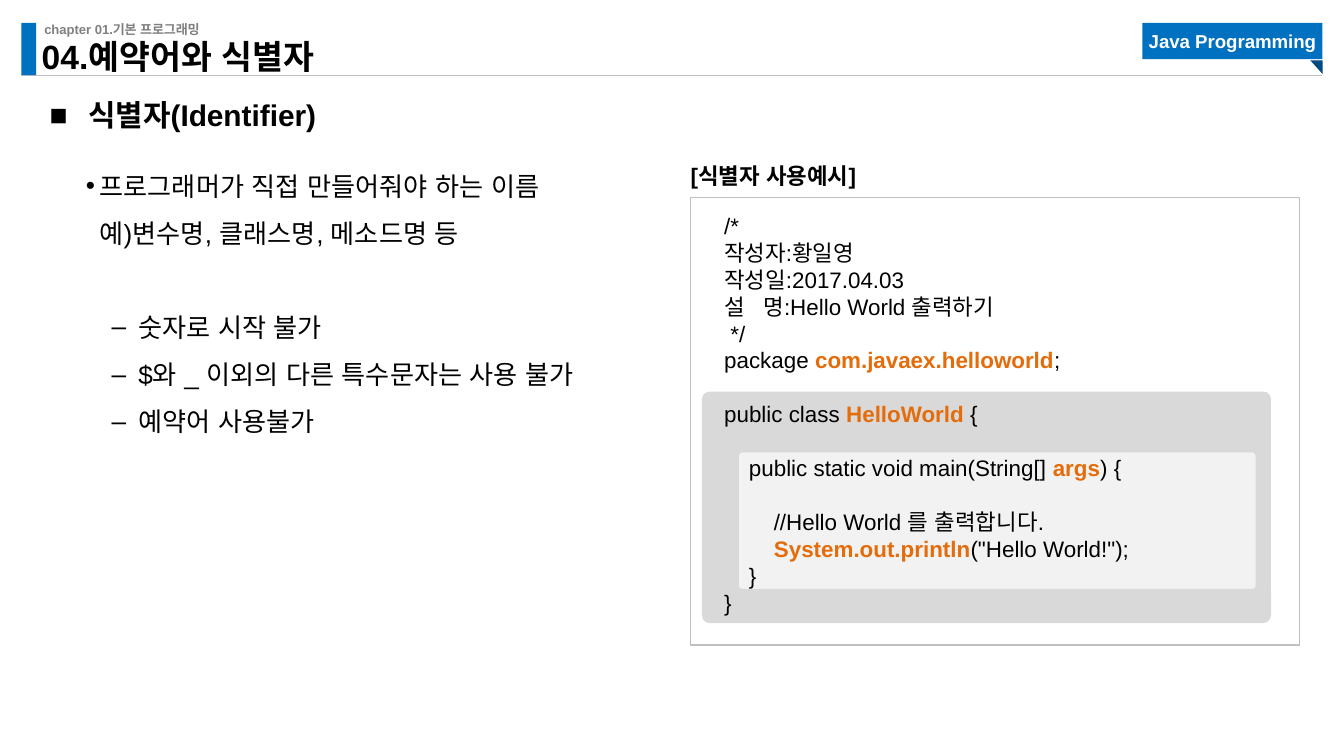
from lxml import etree
from pptx import Presentation
from pptx.dml.color import RGBColor
from pptx.enum.shapes import MSO_CONNECTOR, MSO_SHAPE
from pptx.enum.text import MSO_ANCHOR, MSO_AUTO_SIZE, PP_ALIGN
from pptx.oxml.ns import qn
from pptx.util import Inches, Pt

FONT = "Arial"
BLACK = RGBColor(0x00, 0x00, 0x00)
WHITE = RGBColor(0xFF, 0xFF, 0xFF)
BLUE = RGBColor(0x00, 0x70, 0xC0)
NAVY = RGBColor(0x00, 0x4A, 0x82)
ORANGE = RGBColor(0xE4, 0x6C, 0x0A)
GRAY = RGBColor(0x80, 0x80, 0x80)
RULE = RGBColor(0xBF, 0xBF, 0xBF)
CLASS_FILL = RGBColor(0xD9, 0xD9, 0xD9)
METHOD_FILL = RGBColor(0xF2, 0xF2, 0xF2)

CHAPTER = "chapter 01.기본 프로그래밍"
TITLE = "04.예약어와 식별자"
COURSE = "Java Programming"
HEADING = "식별자(Identifier)"
EXAMPLE_LABEL = "[식별자 사용예시]"

# text, bullet, left margin, hanging indent, space before
POINTS = [
    ("프로그래머가 직접 만들어줘야 하는 이름", "•", 0.4, 0.1, 0),
    ("예)변수명, 클래스명, 메소드명 등", None, 0.4, 0, 0),
    ("숫자로 시작 불가", "–", 0.69, 0.2, 25.2),
    ("$와 _ 이외의 다른 특수문자는 사용 불가", "–", 0.69, 0.2, 0),
    ("예약어 사용불가", "–", 0.69, 0.2, 0),
]

# Each line is split into plain, identifier, plain; an empty tuple is a gap
CODE = [
    ("/*",),
    ("작성자:황일영",),
    ("작성일:2017.04.03",),
    ("설   명:Hello World 출력하기",),
    (" */",),
    ("package ", "com.javaex.helloworld", ";"),
    (),
    ("public class ", "HelloWorld", " {"),
    (),
    ("    public static void main(String[] ", "args", ") {"),
    (),
    ("        //Hello World 를 출력합니다.",),
    ("        ", "System.out.println", '("Hello World!");'),
    ("    }",),
    ("}",),
]
CODE_PITCH = 14.5


def add_block(page, kind, place, fill=None, line=None, width=1):
    block = page.shapes.add_shape(kind, *map(Inches, place))
    block.shadow.inherit = False
    if fill is None:
        block.fill.background()
    else:
        block.fill.solid()
        block.fill.fore_color.rgb = fill
    if line is None:
        block.line.fill.background()
    else:
        block.line.color.rgb = line
        block.line.width = Pt(width)
    return block


def add_box(page, place, insets=(0, 0, 0, 0)):
    box = page.shapes.add_textbox(*map(Inches, place))
    return set_frame(box, insets)


def set_frame(box, insets=(0, 0, 0, 0), anchor=MSO_ANCHOR.TOP):
    frame = box.text_frame
    frame.word_wrap = True
    frame.auto_size = MSO_AUTO_SIZE.NONE
    frame.vertical_anchor = anchor
    (frame.margin_left, frame.margin_top,
     frame.margin_right, frame.margin_bottom) = map(Inches, insets)
    return frame


def add_span(para, text, size, color=BLACK, bold=False):
    span = para.add_run()
    span.text = text
    span.font.name = FONT
    span.font.size = Pt(size)
    span.font.bold = bold
    span.font.color.rgb = color
    etree.SubElement(span._r.get_or_add_rPr(), qn("a:ea"), typeface=FONT)


def write(para, text, size, color=BLACK, bold=False, align=PP_ALIGN.LEFT,
          spacing=1.0, before=0, bullet=None, margin=0, hang=0):
    props = para._p.get_or_add_pPr()
    props.set("marL", str(Inches(margin)))
    props.set("indent", str(-Inches(hang)))
    if bullet:
        etree.SubElement(props, qn("a:buFont"), typeface=FONT)
        etree.SubElement(props, qn("a:buChar"), char=bullet)
    para.alignment = align
    para.line_spacing = spacing
    if before:
        para.space_before = Pt(before)
    add_span(para, text, size, color, bold)


def next_para(frame, index):
    return frame.add_paragraph() if index else frame.paragraphs[0]


def add_header(page):
    rule = page.shapes.add_connector(
        MSO_CONNECTOR.STRAIGHT, *map(Inches, (0.16, 0.56, 9.84, 0.56)))
    rule.line.color.rgb = RULE
    rule.line.width = Pt(0.5)
    etree.SubElement(rule._element.spPr, qn("a:effectLst"))

    add_block(page, MSO_SHAPE.RECTANGLE, (0.16, 0.17, 0.11, 0.39), BLUE)
    chapter = add_box(page, (0.33, 0.16, 3.23, 0.12))
    write(chapter.paragraphs[0], CHAPTER, 7, GRAY, bold=True)

    ribbon = add_block(page, MSO_SHAPE.RECTANGLE, (8.5, 0.17, 1.34, 0.27), BLUE)
    course = set_frame(ribbon, anchor=MSO_ANCHOR.MIDDLE)
    write(course.paragraphs[0], COURSE, 10, WHITE, bold=True,
          align=PP_ALIGN.CENTER)
    fold = add_block(page, MSO_SHAPE.RIGHT_TRIANGLE,
                     (9.75, 0.45, 0.09, 0.1), NAVY)
    fold.rotation = 180

    title = page.shapes.title
    title.left, title.top, title.width, title.height = map(
        Inches, (0.31, 0.34, 3.3, 0.23))
    frame = set_frame(title, anchor=MSO_ANCHOR.BOTTOM)
    write(frame.paragraphs[0], TITLE, 18, bold=True, spacing=0.9)


def add_points(page):
    heading = add_box(page, (0.37, 0.59, 9.54, 0.33))
    write(heading.paragraphs[0], HEADING, 16, bold=True, spacing=1.5,
          bullet="■", margin=0.29, hang=0.29)
    frame = add_box(page, (0.34, 1.1, 4.66, 2.28), (0, 0.05, 0.1, 0.05))
    for index, (text, bullet, margin, hang, before) in enumerate(POINTS):
        write(next_para(frame, index), text, 14, spacing=1.5, before=before,
              bullet=bullet, margin=margin, hang=hang)


def add_example(page):
    for place, fill in (((5.23, 2.92, 4.22, 1.71), CLASS_FILL),
                        ((5.49, 3.36, 3.86, 1.03), METHOD_FILL)):
        panel = add_block(page, MSO_SHAPE.ROUNDED_RECTANGLE, place, fill,
                          CLASS_FILL)
        panel.adjustments[0] = 0.03
    add_block(page, MSO_SHAPE.RECTANGLE, (5.14, 1.47, 4.53, 3.33),
              line=RULE, width=0.75)

    insets = (0.1, 0.05, 0.1, 0.05)
    label = add_box(page, (5.04, 1.16, 2.13, 0.3), insets)
    write(label.paragraphs[0], EXAMPLE_LABEL, 12, bold=True)

    frame = add_box(page, (5.29, 1.53, 4.26, 3.13), insets)
    for index, parts in enumerate(CODE):
        if not parts:
            continue
        para = next_para(frame, index)
        if index and not CODE[index - 1]:
            para.space_before = Pt(CODE_PITCH)
        for position, part in enumerate(parts):
            named = position == 1
            add_span(para, part, 12, ORANGE if named else BLACK, named)


def main():
    deck = Presentation()
    deck.slide_width = Inches(10)
    deck.slide_height = deck.slide_width * 9 // 16
    page = deck.slides.add_slide(deck.slide_layouts[5])
    add_header(page)
    add_points(page)
    add_example(page)
    deck.save("out.pptx")


if __name__ == "__main__":
    main()
